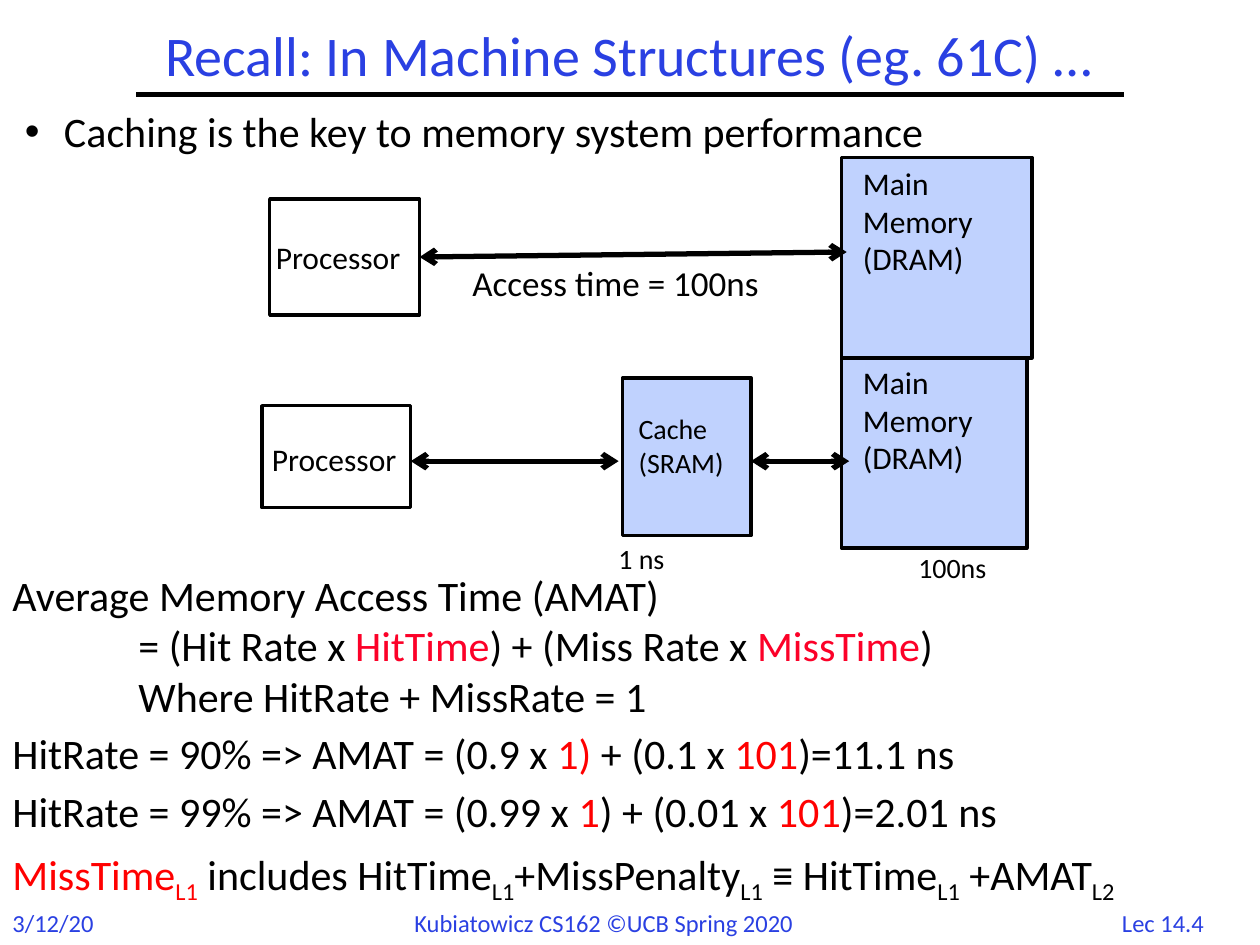
from lxml.etree import SubElement
from pptx import Presentation
from pptx.dml.color import RGBColor
from pptx.enum.shapes import MSO_CONNECTOR, MSO_SHAPE
from pptx.enum.text import MSO_ANCHOR, PP_ALIGN
from pptx.oxml.ns import qn
from pptx.util import Pt

PX = 9144
BLACK, BLUE, PALE, RED, CRIMSON = "000000", "2A40E2", "C0D2FE", "FF0000", "FC0128"


def color(hex_code):
    return RGBColor.from_string(hex_code)


def px(*lengths):
    return [length * PX for length in lengths]


def write(frame, paragraphs, size=18, ink=BLACK, face="Calibri", align=PP_ALIGN.LEFT,
          spacing=None, before=0, bullet=None, indent=0, tab=None):
    for runs in paragraphs:
        is_first = not frame.paragraphs[0].runs
        paragraph = frame.paragraphs[0] if is_first else frame.add_paragraph()
        properties = paragraph._p.get_or_add_pPr()
        if bullet:
            properties.set("marL", str(indent * PX))
            properties.set("indent", str(-indent * PX))
            SubElement(properties, qn("a:buFont"), typeface="Arial")
            SubElement(properties, qn("a:buChar"), char=bullet)
        if tab:
            stops = SubElement(properties, qn("a:tabLst"))
            SubElement(stops, qn("a:tab"), pos=str(tab * PX), algn="l")
        paragraph.alignment = align
        if spacing:
            paragraph.line_spacing = spacing
        if before and not is_first:
            paragraph.space_before = Pt(before)
        for part in [runs] if isinstance(runs, str) else runs:
            words, tint, baseline = part if isinstance(part, tuple) else (part, ink, 0)
            run = paragraph.add_run()
            run.text = words
            run.font.name = face
            run.font.size = Pt(size)
            run.font.color.rgb = color(tint)
            if baseline:
                run._r.get_or_add_rPr().set("baseline", str(baseline * 1000))


class Deck:
    def __init__(self, width, height):
        self.presentation = Presentation()
        self.presentation.slide_width, self.presentation.slide_height = px(width, height)
        self.slide = self.presentation.slides.add_slide(self.presentation.slide_layouts[6])
        self.outline, self.stroke = Pt(2), Pt(3)

    def text(self, left, top, width, height, paragraphs, wrap=True,
             anchor=MSO_ANCHOR.TOP, **style):
        frame = self.slide.shapes.add_textbox(*px(left, top, width, height)).text_frame
        frame.word_wrap = wrap
        frame.vertical_anchor = anchor
        write(frame, paragraphs, **style)
        return frame

    def block(self, left, top, width, height, fill=None):
        block = self.slide.shapes.add_shape(MSO_SHAPE.RECTANGLE, *px(left, top, width, height))
        block.shadow.inherit = False
        if fill:
            block.fill.solid()
            block.fill.fore_color.rgb = color(fill)
        else:
            block.fill.background()
        block.line.color.rgb = color(BLACK)
        block.line.width = self.outline
        return block

    def line(self, x1, y1, x2, y2, arrows=False, source=None):
        line = self.slide.shapes.add_connector(MSO_CONNECTOR.STRAIGHT, *px(x1, y1, x2, y2))
        line.line.color.rgb = color(BLACK)
        line.line.width = self.stroke
        if arrows:
            for end in ("a:headEnd", "a:tailEnd"):
                SubElement(line.line._get_or_add_ln(), qn(end), type="arrow")
        SubElement(line._element.spPr, qn("a:effectLst"))
        if source:
            line.begin_connect(source, 3)


def red(words):
    return words, RED, 0


def crimson(words):
    return words, CRIMSON, 0


def level(number, tint=BLACK):
    return f"L{number}", tint, -25


def main():
    deck = Deck(1000, 750)

    deck.text(869, 716, 108, 33, ["Lec 14.4"], wrap=False, size=14, ink=BLUE,
              align=PP_ALIGN.CENTER)
    deck.text(0, 716, 85, 34, ["3/12/20"], wrap=False, size=14, ink=BLUE)
    deck.line(108, 75, 892, 75)
    deck.text(319, 716, 363, 34, ["Kubiatowicz CS162 ©UCB Spring 2020"], wrap=False,
              size=14, ink=BLUE)

    deck.text(33, 17, 933, 58, ["Recall: In Machine Structures (eg. 61C) …"],
              anchor=MSO_ANCHOR.MIDDLE, size=32, ink=BLUE, align=PP_ALIGN.CENTER, spacing=0.9)
    deck.text(10, 83, 974, 99, ["Caching is the key to memory system performance"],
              size=24, spacing=0.9, bullet="•", indent=31)

    formulas = deck.text(0, 447, 1008, 324, [
        "Average Memory Access Time (AMAT)",
        ["\t= (Hit Rate x ", crimson("HitTime"), ") + (Miss Rate x ", crimson("MissTime"), ")"],
        "\tWhere HitRate + MissRate = 1",
    ], size=24, tab=100)
    write(formulas, [
        ["HitRate = 90% => AMAT = (0.9 x ", red("1)"), " + (0.1 x ", red("101"), ")=11.1 ns"],
        ["HitRate = 99% => AMAT = (0.99 x ", red("1"), ") + (0.01 x ", red("101"), ")=2.01 ns"],
        [red("MissTime"), level(1, RED), " includes HitTime", level(1), "+MissPenalty", level(1),
         " ≡ HitTime", level(1), " +AMAT", level(2)],
    ], size=24, spacing=0.9, before=7.2)

    memory_label = ["Main", "Memory", "(DRAM)"]

    deck.block(208, 322, 118, 81)
    deck.text(206, 344, 136, 35, ["Processor"])
    deck.block(668, 284, 147, 151, PALE)
    deck.text(675, 283, 133, 89, memory_label)
    deck.text(719, 432, 97, 32, ["100ns"], size=16)
    deck.block(494, 300, 102, 125, PALE)
    deck.text(481, 425, 97, 37, ["1 ns"], size=16)
    deck.text(497, 322, 106, 64, ["Cache", "(SRAM)"], size=16)
    deck.line(596, 366, 674, 366, arrows=True)
    deck.line(326, 366, 491, 366, arrows=True)

    processor = deck.block(214, 158, 119, 92)
    deck.text(209, 184, 138, 40, ["Processor"])
    deck.block(668, 125, 151, 159, PALE)
    deck.text(675, 125, 136, 101, memory_label)
    deck.line(333, 204, 672, 200, arrows=True, source=processor)
    deck.text(365, 203, 333, 44, ["Access time = 100ns"], size=20)

    deck.presentation.save("out.pptx")


if __name__ == "__main__":
    main()
